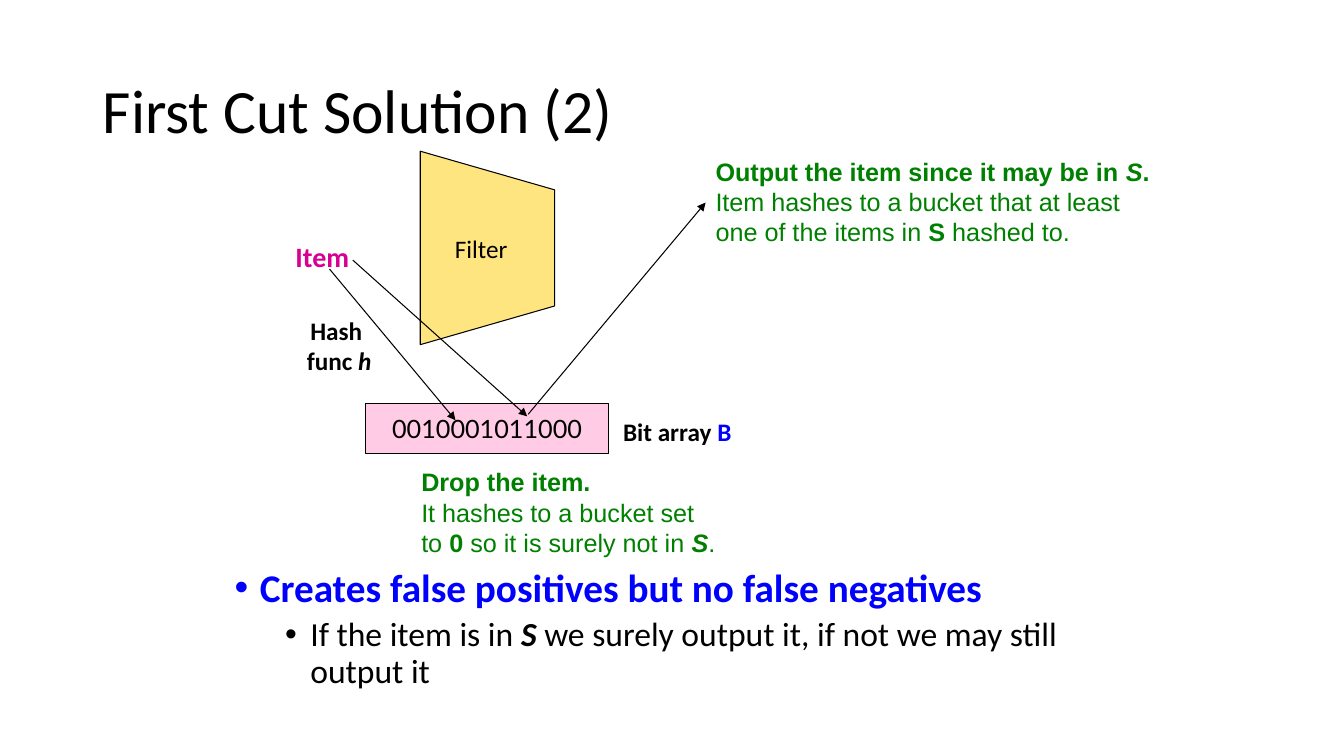
from lxml import etree
from pptx import Presentation
from pptx.dml.color import RGBColor
from pptx.enum.shapes import MSO_CONNECTOR as Connector, MSO_SHAPE as Shape
from pptx.enum.text import MSO_ANCHOR as Anchor, MSO_AUTO_SIZE as AutoSize, PP_ALIGN as Align
from pptx.oxml.ns import qn
from pptx.util import Pt

BLACK, BLUE, GREEN, MAGENTA = "000000", "0000FF", "008000", "D60093"
YELLOW, PINK = "FFCC00", "FF99CC"


def color(hex_code):
    return RGBColor.from_string(hex_code)


def write(paragraph, pieces, font="Calibri", size=18, ink=BLACK):
    """Each piece is (text, style, optional ink); style holds b and/or i."""
    for text, style, *own_ink in pieces:
        for number, line in enumerate(text.split("\n")):
            if number:
                paragraph.add_line_break()
            run = paragraph.add_run()
            run.text = line
            run.font.name, run.font.size = font, Pt(size)
            run.font.bold, run.font.italic = "b" in style, "i" in style
            run.font.color.rgb = color(own_ink[0] if own_ink else ink)


def add_label(slide, box, paragraphs, align=Align.LEFT, wrap=False, **look):
    frame = slide.shapes.add_textbox(*map(Pt, box)).text_frame
    frame.word_wrap = wrap
    for number, pieces in enumerate(paragraphs):
        paragraph = frame.add_paragraph() if number else frame.paragraphs[0]
        paragraph.alignment = align
        write(paragraph, pieces, **look)
    return frame


def paint(shape, fill, text, font):
    """Half-transparent fill, thin black outline, centred text."""
    shape.shadow.inherit = False
    shape.fill.solid()
    shape.fill.fore_color.rgb = color(fill)
    tint = shape.fill._xPr.find(".//" + qn("a:srgbClr"))
    etree.SubElement(tint, qn("a:alpha"), val="50000")
    shape.line.color.rgb = color(BLACK)
    shape.line.width = Pt(0.75)
    frame = shape.text_frame
    frame.word_wrap = False
    frame.vertical_anchor = Anchor.MIDDLE
    frame.paragraphs[0].alignment = Align.CENTER
    write(frame.paragraphs[0], [(text, "")], font)


def add_arrow(slide, start, end):
    arrow = slide.shapes.add_connector(Connector.STRAIGHT, *map(Pt, start + end))
    arrow.line.color.rgb = color(BLACK)
    arrow.line.width = Pt(0.75)
    etree.SubElement(arrow.line._get_or_add_ln(), qn("a:tailEnd"), type="triangle")
    etree.SubElement(arrow._element.spPr, qn("a:effectLst"))


def add_title(slide, box):
    title = slide.shapes.title
    title.left, title.top, title.width, title.height = map(Pt, box)
    frame = title.text_frame
    frame.text = "First Cut Solution (2)"
    frame.auto_size = AutoSize.NONE
    frame.vertical_anchor = Anchor.MIDDLE
    heading = frame.paragraphs[0]
    heading.alignment, heading.line_spacing = Align.LEFT, 0.9
    font = heading.runs[0].font
    font.name, font.size, font.color.rgb = "Calibri", Pt(44), color(BLACK)


def add_filter(slide, box):
    left, top, width, height = box
    slant = 0.2 * height
    outline = slide.shapes.build_freeform(Pt(left), Pt(top + height), scale=1.0)
    corners = [(left + width, top + height - slant), (left + width, top + slant), (left, top)]
    outline.add_line_segments([(Pt(x), Pt(y)) for x, y in corners], close=True)
    trapezoid = outline.convert_to_shape()
    paint(trapezoid, YELLOW, "Filter", "Calibri")
    trapezoid.text_frame.margin_left, trapezoid.text_frame.margin_right = Pt(3), Pt(12)


def add_bit_array(slide, box):
    left, top, width, height = box
    bits = slide.shapes.add_shape(Shape.RECTANGLE, *map(Pt, box))
    paint(bits, PINK, "0010001011000", "Lato")
    add_label(slide, (left + width + 3, top + 6, 93, 29),
              [[("Bit array ", "b"), ("B", "b", BLUE)]])


def add_diagram(slide, box):
    left, top, width, height = box
    add_filter(slide, (left + 96.2, top, 96, 138.2))
    add_label(slide, (left, top + 59.8, 55.4, 31.7), [[("Item", "b")]], size=20, ink=MAGENTA)
    add_bit_array(slide, (left + 56.8, top + 180, 174.2, 36))
    # Hash paths from the item to its buckets, and on to the output
    arrows = [((48, 77.8), (172.6, 189.4)),
              ((173.3, 187.9), (300, 36.7)),
              ((31.4, 84.2), (121.4, 192.2))]
    for (x1, y1), (x2, y2) in arrows:
        add_arrow(slide, (left + x1, top + y1), (left + x2, top + y2))
    add_label(slide, (left + 4.8, top + 113.8, 67, 51),
              [[("Hash \nfunc ", "b"), ("h", "bi")]], Align.CENTER, wrap=True)
    # The two outcomes
    add_label(slide, (left + 300, top, width - 300, 72.7), [
        [("Output the item since it may be in ", "b"), ("S", "bi"), (".", "b")],
        [("Item hashes to a bucket that at least \none of the items in ", ""),
         ("S", "b"), (" hashed to.", "")],
    ], font="Arial", ink=GREEN)
    add_label(slide, (left + 89.8, top + height - 72.7, 226.8, 72.7), [
        [("Drop the item.", "b")],
        [("It hashes to a bucket set \nto ", ""), ("0", "b"),
         (" so it is surely not in ", ""), ("S", "bi"), (".", "")],
    ], font="Arial", ink=GREEN)


def add_conclusions(slide, box):
    frame = add_label(slide, box, [[("Creates false positives but no false negatives", "b")]],
                      wrap=True, size=28, ink=BLUE)
    detail = frame.add_paragraph()
    detail.level = 1
    write(detail, [("If the item is in ", ""), ("S", "bi"),
                   (" we surely output it, if not we may still output it", "")], size=24)
    for paragraph, indent, gap in zip(frame.paragraphs, (18, 54), (10, 5)):
        paragraph.line_spacing, paragraph.space_before = 0.9, Pt(gap)
        properties = paragraph._p.get_or_add_pPr()
        properties.set("marL", str(Pt(indent)))
        properties.set("indent", str(-Pt(18)))
        etree.SubElement(properties, qn("a:buFont"), typeface="Arial")
        etree.SubElement(properties, qn("a:buChar"), char="•")


def main():
    deck = Presentation()
    deck.slide_width, deck.slide_height = Pt(960), Pt(540)
    slide = deck.slides.add_slide(deck.slide_layouts[5])
    add_title(slide, (66.2, 28.8, 828, 104.4))
    add_conclusions(slide, (160.6, 402.5, 659.5, 125.3))
    add_diagram(slide, (204, 108, 627.6, 294.5))
    deck.save("out.pptx")


if __name__ == "__main__":
    main()
